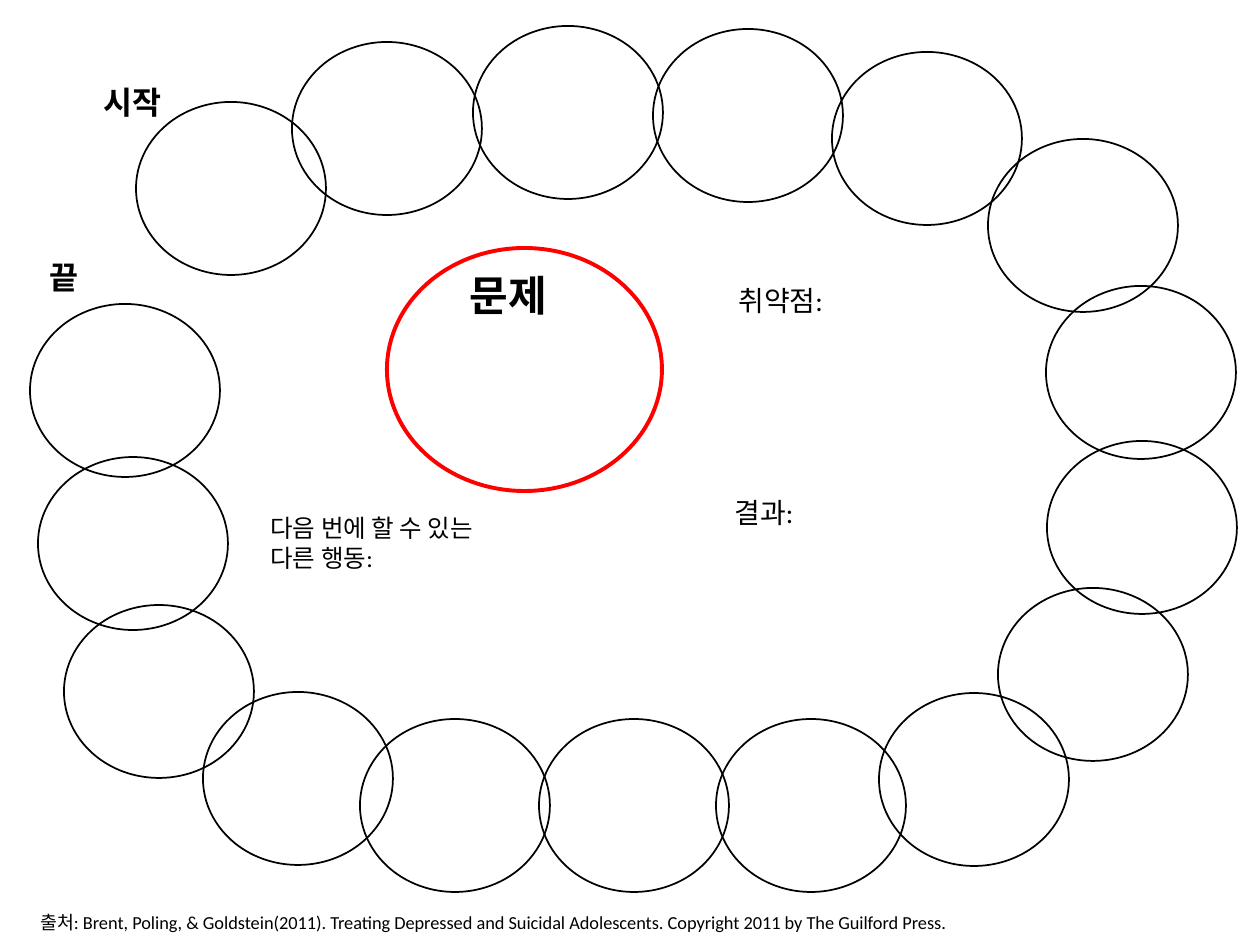
from pptx import Presentation
from pptx.dml.color import RGBColor
from pptx.enum.shapes import MSO_SHAPE as SHAPE
from pptx.enum.text import MSO_AUTO_SIZE as AUTO_SIZE
from pptx.util import Emu, Pt

PX = 914400 / 126  # EMU per px
BLACK, RED = "000000", "FF0000"
LINK_W, LINK_H = 190, 173

# Top-left corners of the chain links, clockwise from start to end
LINKS = [
    (136, 102), (292, 42), (473, 26), (653, 29), (832, 52), (988, 139),
    (1046, 286), (1047, 441), (998, 588), (879, 693), (716, 719),
    (539, 719), (360, 719), (203, 692), (64, 605), (38, 457), (30, 304),
]

HEADING = {"size": Pt(18), "bold": True}
PROBLEM = {"size": Pt(24), "bold": True}
PROMPT = {"size": Pt(16)}
ACTION = {"size": Pt(14)}
SOURCE = {"size": Pt(10.5)}

# Box (left, top, width, height), paragraphs, font format
LABELS = [
    ((457, 263, 131, 63), ["문제"], PROBLEM),
    ((91, 77, 92, 50), ["시작"], HEADING),
    ((37, 252, 92, 50), ["끝"], HEADING),
    ((726, 277, 117, 47), ["취약점:"], PROMPT),
    ((722, 489, 117, 47), ["결과:"], PROMPT),
    ((258, 507, 358, 72), ["다음 번에 할 수 있는", "다른 행동:"], ACTION),
    ((28, 905, 1210, 37),
     ["출처: Brent, Poling, & Goldstein(2011). Treating Depressed and "
      "Suicidal Adolescents. Copyright 2011 by The Guilford Press."], SOURCE),
]


def px(n):
    return Emu(round(n * PX))


def rgb(value):
    return RGBColor.from_string(value)


def add_ellipse(s, box, color, weight):
    sp = s.shapes.add_shape(SHAPE.OVAL, *map(px, box))
    sp.shadow.inherit = False
    sp.fill.background()
    sp.line.color.rgb = rgb(color)
    sp.line.width = Pt(weight)


def add_label(s, box, lines, fmt):
    tf = s.shapes.add_textbox(*map(px, box)).text_frame
    tf.word_wrap = True
    tf.auto_size = AUTO_SIZE.SHAPE_TO_FIT_TEXT
    for i, line in enumerate(lines):
        p = tf.add_paragraph() if i else tf.paragraphs[0]
        r = p.add_run()
        r.text = line
        for name, value in {"name": "Calibri", **fmt}.items():
            setattr(r.font, name, value)
        r.font.color.rgb = rgb(BLACK)


def main():
    prs = Presentation()
    prs.slide_width, prs.slide_height = px(1260), px(945)
    s = prs.slides.add_slide(prs.slide_layouts[6])

    # Central problem and the chain around it
    add_ellipse(s, (387, 248, 275, 243), RED, 2.25)
    for left, top in LINKS:
        add_ellipse(s, (left, top, LINK_W, LINK_H), BLACK, 1)

    # Headings, prompts and source
    for box, lines, fmt in LABELS:
        add_label(s, box, lines, fmt)

    prs.save("out.pptx")


if __name__ == "__main__":
    main()
